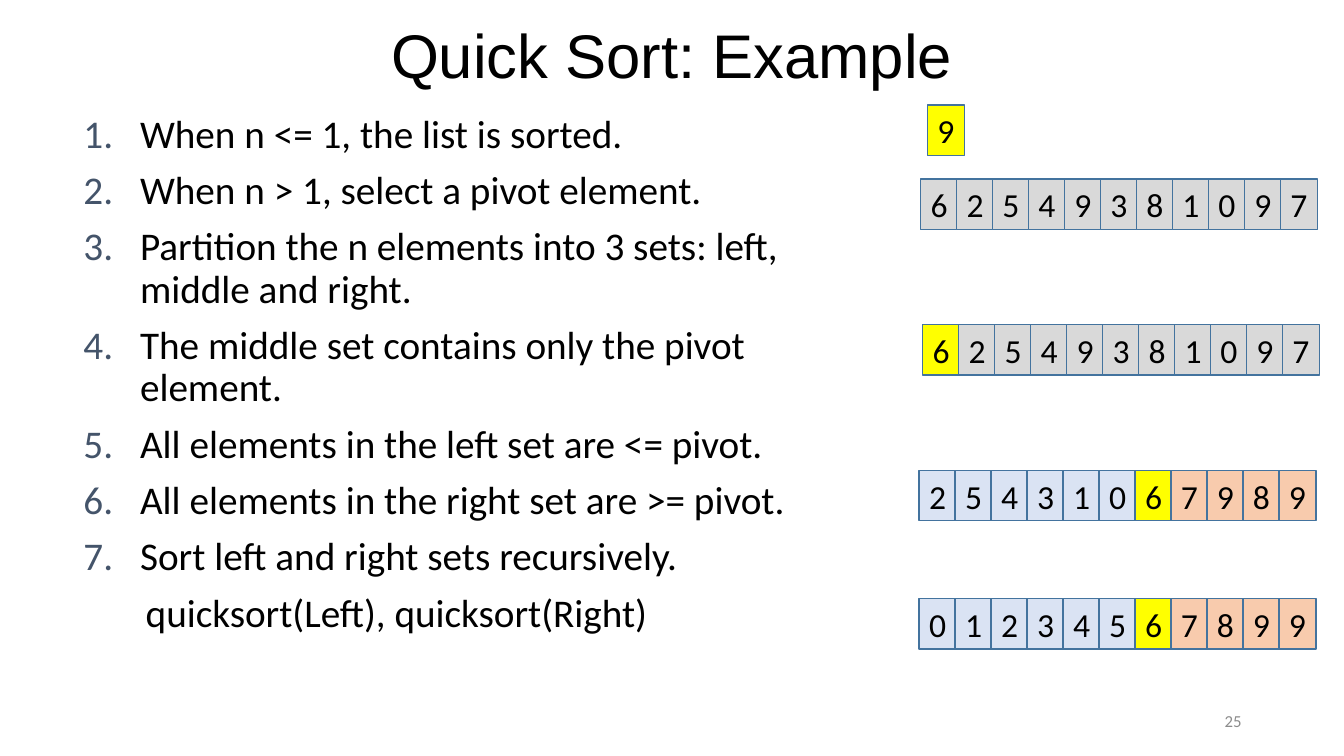
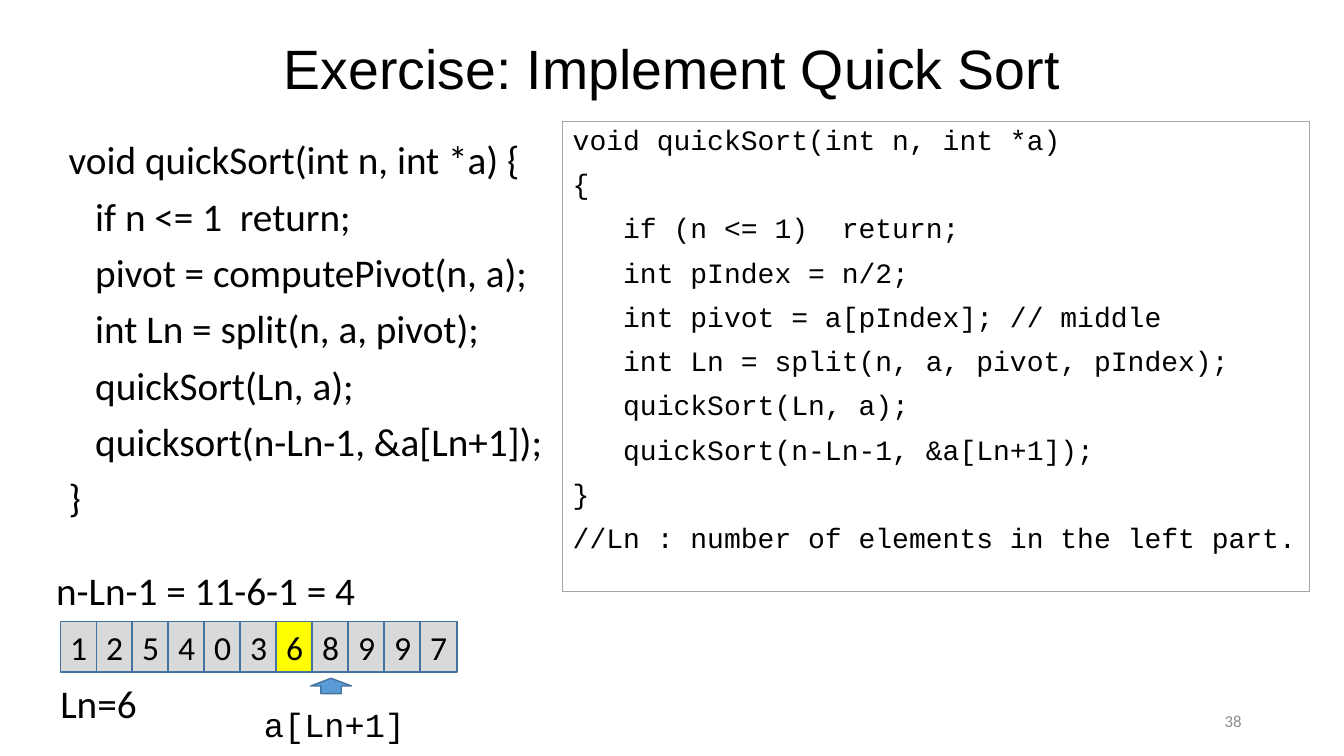
from dataclasses import dataclass
from typing import Optional

from lxml import etree
from pptx import Presentation
from pptx.dml.color import RGBColor
from pptx.enum.shapes import MSO_SHAPE
from pptx.enum.text import MSO_ANCHOR, MSO_AUTO_SIZE, PP_ALIGN
from pptx.oxml.ns import qn
from pptx.util import Pt

RECT, UP_ARROW = MSO_SHAPE.RECTANGLE, MSO_SHAPE.UP_ARROW
TOP, MIDDLE = MSO_ANCHOR.TOP, MSO_ANCHOR.MIDDLE
LEFT, CENTER, RIGHT = PP_ALIGN.LEFT, PP_ALIGN.CENTER, PP_ALIGN.RIGHT


@dataclass(frozen=True)
class Theme:
    text: str = "000000"
    muted: str = "8C8C8C"
    number: str = "44546A"
    cell_line: str = "43739E"
    frame: str = "A6A6A6"
    arrow: str = "5B9BD5"
    plain: str = "D9D9D9"
    pivot: str = "FFFF00"
    left: str = "DAE3F3"
    right: str = "F8CBAD"
    title_font: str = "Arial"
    body_font: str = "Calibri"
    code_font: str = "Courier New"
    title_size: float = 44
    small_title_size: float = 39.6
    body_size: float = 28
    cell_size: float = 24
    code_size: float = 20
    page_size: float = 12


THEME = Theme()
ROLE_FILL = {"n": THEME.plain, "p": THEME.pivot, "l": THEME.left, "r": THEME.right}
CELL_W, CELL_H, CELL_PITCH = 26.5, 36, 25.7
HANG = 40.5


@dataclass(frozen=True)
class Box:
    x: float
    y: float
    w: float
    h: float

    def lengths(self):
        return Pt(self.x), Pt(self.y), Pt(self.w), Pt(self.h)


@dataclass(frozen=True)
class Style:
    size: float
    font: str = THEME.body_font
    color: str = THEME.text
    align: PP_ALIGN = LEFT
    line_spacing: Optional[float] = None
    space_before: float = 0


@dataclass(frozen=True)
class ArrayRow:
    x: float
    y: float
    digits: str
    roles: str


BODY = Style(THEME.body_size, line_spacing=0.9, space_before=10)
CODE = Style(THEME.code_size, THEME.code_font, line_spacing=0.9, space_before=10)
CELL = Style(THEME.cell_size, align=CENTER)
LABEL = Style(THEME.body_size)
CODE_LABEL = Style(THEME.cell_size, THEME.code_font)
PAGE = Style(THEME.page_size, color=THEME.muted, align=RIGHT)

STEPS = [
    "When n <= 1, the list is sorted.",
    "When n > 1, select a pivot element.",
    "Partition the n elements into 3 sets: left, middle and right.",
    "The middle set contains only the pivot element.",
    "All elements in the left set are <= pivot.",
    "All elements in the right set are >= pivot.",
    "Sort left and right sets recursively.",
]
SORT_ROWS = [
    ArrayRow(662.4, 75, "9", "p"),
    ArrayRow(657.5, 128, "62549381097", "n" * 11),
    ArrayRow(659, 232, "62549381097", "p" + "n" * 10),
    ArrayRow(656.5, 336, "25431067989", "llllllprrrr"),
    ArrayRow(656.5, 427.5, "01234567899", "llllllprrrr"),
]
SPLIT_ROW = ArrayRow(43, 444, "12540368997", "nnnnnnpnnnn")
PSEUDOCODE = [
    "void quickSort(int n, int *a) {",
    "   if n <= 1  return;",
    "   pivot = computePivot(n, a);",
    "   int Ln = split(n, a, pivot);",
    "   quickSort(Ln, a);",
    "   quicksort(n-Ln-1, &a[Ln+1]);",
    "}",
]
SOURCE_CODE = [
    "void quickSort(int n, int *a)",
    "{",
    "   if (n <= 1)  return;",
    "   int pIndex = n/2;",
    "   int pivot = a[pIndex]; // middle",
    "   int Ln = split(n, a, pivot, pIndex);",
    "   quickSort(Ln, a);",
    "   quickSort(n-Ln-1, &a[Ln+1]);",
    "}",
    "//Ln : number of elements in the left part.",
]


def rgb(value: str) -> RGBColor:
    return RGBColor.from_string(value)


def write(tf, lines: list[str], style: Style, anchor: MSO_ANCHOR = TOP) -> None:
    tf.vertical_anchor = anchor
    for i, line in enumerate(lines):
        p = tf.add_paragraph() if i else tf.paragraphs[0]
        p.alignment = style.align
        p.line_spacing = style.line_spacing
        p.space_before = Pt(style.space_before if i else 0)
        r = p.add_run()
        r.text = line
        r.font.size = Pt(style.size)
        r.font.name = style.font
        r.font.color.rgb = rgb(style.color)


def add_text(s, box: Box, lines: list[str], style: Style,
             anchor: MSO_ANCHOR = TOP, wrap: bool = True):
    tf = s.shapes.add_textbox(*box.lengths()).text_frame
    tf.word_wrap = wrap
    if not wrap:
        tf.auto_size = MSO_AUTO_SIZE.SHAPE_TO_FIT_TEXT
    write(tf, lines, style, anchor)
    return tf


def add_box(s, kind: MSO_SHAPE, box: Box, fill: Optional[str], line: str, width: float):
    sp = s.shapes.add_shape(kind, *box.lengths())
    sp.shadow.inherit = False
    if fill:
        sp.fill.solid()
        sp.fill.fore_color.rgb = rgb(fill)
    else:
        sp.fill.background()
    sp.line.color.rgb = rgb(line)
    sp.line.width = Pt(width)
    return sp


def add_array(s, row: ArrayRow) -> None:
    for i, (digit, role) in enumerate(zip(row.digits, row.roles)):
        box = Box(row.x + i * CELL_PITCH, row.y, CELL_W, CELL_H)
        sp = add_box(s, RECT, box, ROLE_FILL[role], THEME.cell_line, 1)
        write(sp.text_frame, [digit], CELL, MIDDLE)


def set_indent(p, left: float, first: float):
    pPr = p._p.get_or_add_pPr()
    pPr.set("marL", str(Pt(left)))
    pPr.set("indent", str(Pt(first)))
    return pPr


def number_paragraph(p) -> None:
    pPr = set_indent(p, HANG, -HANG)
    color = etree.SubElement(pPr, qn("a:buClr"))
    etree.SubElement(color, qn("a:srgbClr"), val=THEME.number)
    etree.SubElement(pPr, qn("a:buFont"), typeface="+mj-lt")
    etree.SubElement(pPr, qn("a:buAutoNum"), type="arabicPeriod")


def new_slide(prs, title: str, box: Box, size: float, page: str):
    s = prs.slides.add_slide(prs.slide_layouts[5])
    sp = s.shapes.title
    sp.left, sp.top, sp.width, sp.height = box.lengths()
    sp.text_frame.auto_size = MSO_AUTO_SIZE.NONE
    style = Style(size, THEME.title_font, align=CENTER, line_spacing=0.9)
    write(sp.text_frame, [title], style, MIDDLE)
    add_text(s, Box(678, 500.5, 216, 29), [page], PAGE, MIDDLE)
    return s


def build_example(prs) -> None:
    s = new_slide(prs, "Quick Sort: Example", Box(174, 6, 612, 72), THEME.title_size, "25")
    lines = STEPS + ["quicksort(Left), quicksort(Right)"]
    tf = add_text(s, Box(52.5, 78, 527, 462), lines, BODY)
    *steps, call = tf.paragraphs
    for p in steps:
        number_paragraph(p)
    set_indent(call, 44.5, 0)
    for row in SORT_ROWS:
        add_array(s, row)


def build_exercise(prs) -> None:
    s = new_slide(prs, "Exercise: Implement Quick Sort", Box(174, 12, 612, 78),
                  THEME.small_title_size, "38")
    add_text(s, Box(42, 97, 360, 336), PSEUDOCODE, BODY)
    sp = add_box(s, RECT, Box(402, 86.5, 533.5, 336), None, THEME.frame, 0.75)
    write(sp.text_frame, SOURCE_CODE, CODE)
    add_array(s, SPLIT_ROW)
    add_text(s, Box(36, 481.5, 70, 41), ["Ln=6"], LABEL, wrap=False)
    add_text(s, Box(33, 401, 237.5, 41), ["n-Ln-1 = 11-6-1 = 4"], LABEL, wrap=False)
    add_text(s, Box(181.5, 499.5, 116, 36), ["a[Ln+1]"], CODE_LABEL, wrap=False)
    add_box(s, UP_ARROW, Box(222, 484.5, 29, 11), THEME.arrow, THEME.cell_line, 1)


def main() -> None:
    prs = Presentation()
    prs.slide_width, prs.slide_height = Pt(960), Pt(540)
    build_example(prs)
    build_exercise(prs)
    prs.save("out.pptx")


if __name__ == "__main__":
    main()
